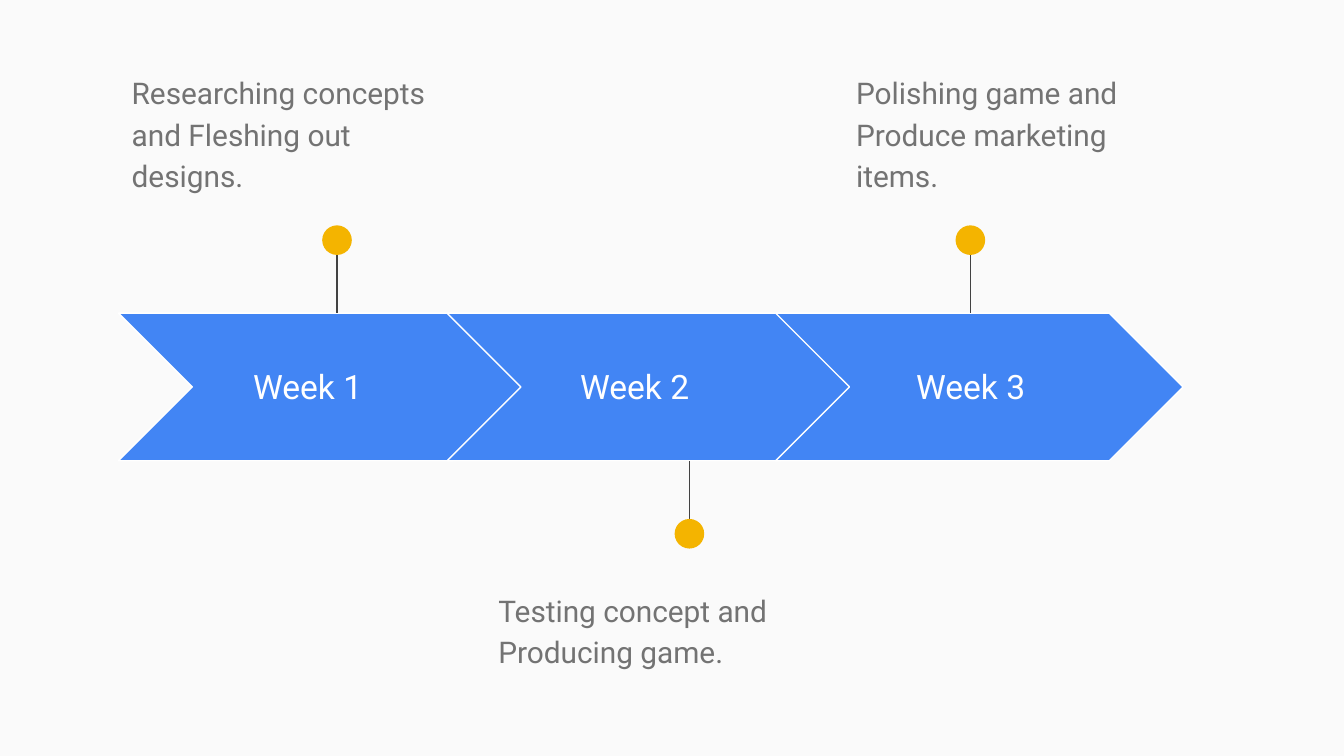
"""Draw a three-week timeline of chevrons with pinned notes."""
from dataclasses import dataclass

from lxml.etree import SubElement as Sub
from pptx import Presentation as Deck
from pptx.dml.color import RGBColor as Rgb
from pptx.enum.shapes import MSO_CONNECTOR as Link, MSO_SHAPE as Kind
from pptx.enum.text import MSO_ANCHOR as Anchor, PP_ALIGN as Align
from pptx.oxml.ns import qn
from pptx.util import Cm, Pt


@dataclass(frozen=True)
class Theme:
    back: str = "FAFAFA"
    band: str = "4285F4"
    edge: str = "FFFFFF"
    stem: str = "424242"
    dot: str = "F4B400"
    label: str = "FFFFFF"
    note: str = "737373"
    font: str = "Roboto"
    big: int = 18
    small: int = 16
    thin: float = 0.75


def apply(item, form):
    for name, value in form.items():
        setattr(item, name, value)


class Pen:
    def __init__(self, theme, slide):
        self.theme, self.slide = theme, slide
        self.paint(slide.background.fill, theme.back)

    def paint(self, fill, tint):
        fill.solid()
        fill.fore_color.rgb = Rgb.from_string(tint)

    def shape(self, kind, box, tint):
        item = self.slide.shapes.add_shape(kind, *map(Cm, box))
        item.shadow.inherit = False
        self.paint(item.fill, tint)
        return item

    def stroke(self, line, tint):
        self.paint(line.fill, tint)
        line.width = Pt(self.theme.thin)

    def band(self, *box):
        item = self.shape(Kind.CHEVRON, box, self.theme.band)
        self.stroke(item.line, self.theme.edge)

    def dot(self, x, y, size):
        box = x - size / 2, y - size / 2, size, size
        self.shape(Kind.OVAL, box, self.theme.dot).line.fill.background()

    def stem(self, x, start, end):
        ends = map(Cm, (x, start, x, end))
        item = self.slide.shapes.add_connector(Link.STRAIGHT, *ends)
        self.stroke(item.line, self.theme.stem)
        Sub(item.element.spPr, qn("a:effectLst"))

    def text(self, words, box, size, tint, anchor, form):
        frame = self.slide.shapes.add_textbox(*map(Cm, box)).text_frame
        sides = "left", "top", "right", "bottom"
        pads = {f"margin_{side}": Cm(0.25) for side in sides}
        apply(frame, {"word_wrap": True, "vertical_anchor": anchor, **pads})
        para = frame.paragraphs[0]
        apply(para, form)
        run = para.add_run()
        run.text = words
        apply(run.font, {"name": self.theme.font, "size": Pt(size)})
        run.font.color.rgb = Rgb.from_string(tint)

    def label(self, words, *box):
        self.text(words, box, self.theme.big, self.theme.label,
                  Anchor.MIDDLE, {"alignment": Align.CENTER})

    def note(self, words, *box):
        self.text(words, box, self.theme.small, self.theme.note, Anchor.TOP,
                  {"line_spacing": 1.15, "space_after": Pt(16)})


WEEKS = [
    ("Researching concepts and Fleshing out designs.", 3.35, 6.37, 2.24, True),
    ("Testing concept and Producing game.", 9.53, 13.03, 9.17, False),
    ("Polishing game and Produce marketing items.", 15.88, 18.34, 15.93, True),
]
LEFT, STEP, TOP, WIDE, HIGH = 2.24, 6.21, 5.92, 7.7, 2.79
REACH, DOT = 1.38, 0.56


def main():
    deck = Deck()
    apply(deck, {"slide_width": Cm(25.4), "slide_height": Cm(14.29)})
    pen = Pen(Theme(), deck.slides.add_slide(deck.slide_layouts[6]))
    for i, (words, name, pin, note, above) in enumerate(WEEKS):
        pen.band(LEFT + i * STEP, TOP, WIDE, HIGH)
        pen.label(f"Week {i + 1}", name, 6.43, 4.93, 1.75)
        base, sign = (TOP, -1) if above else (TOP + HIGH, 1)
        tip = base + sign * REACH
        pen.stem(pin, tip, base)
        pen.dot(pin, tip, DOT)
        pen.note(words, note, 1.07 if above else 10.85, 6.22, 2.51)
    deck.save("out.pptx")


if __name__ == "__main__":
    main()
